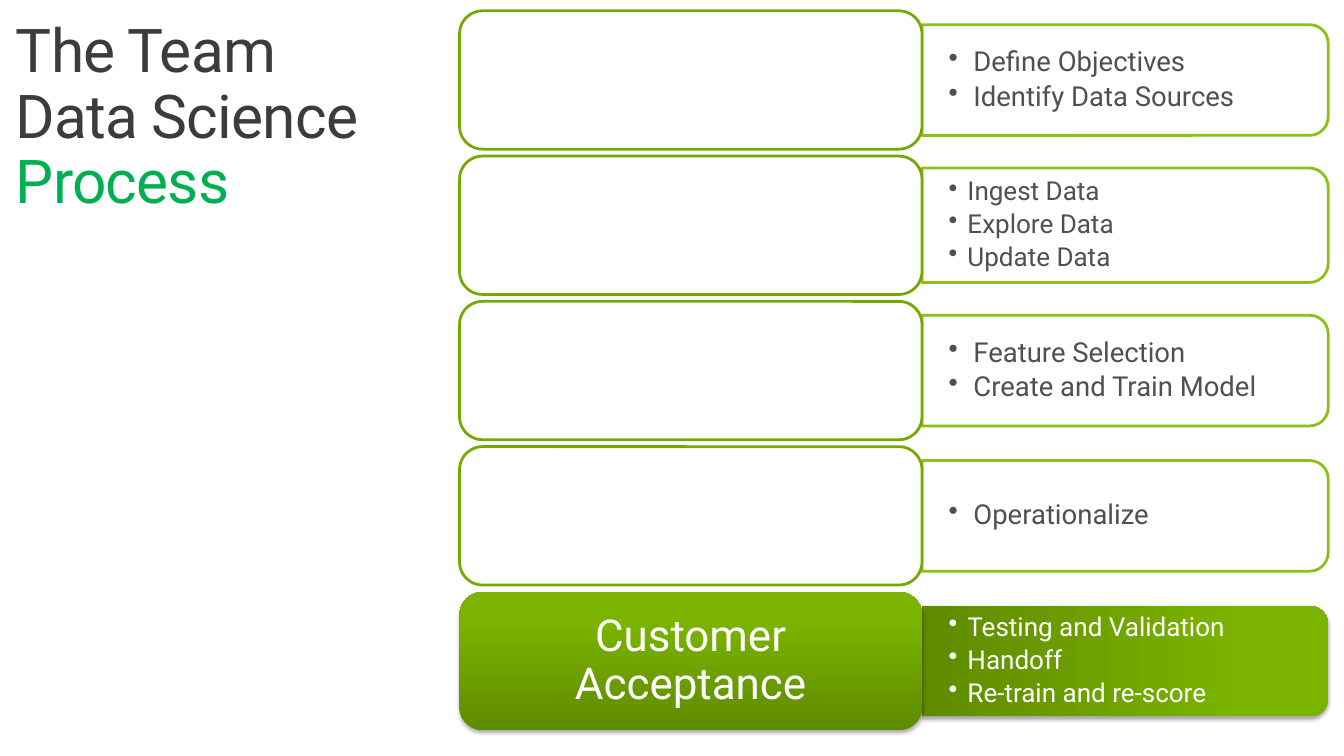
from dataclasses import dataclass

from lxml.etree import SubElement
from pptx import Presentation
from pptx.dml.color import RGBColor
from pptx.enum.shapes import MSO_SHAPE
from pptx.enum.text import MSO_ANCHOR, PP_ALIGN
from pptx.oxml import parse_xml
from pptx.oxml.ns import nsdecls, qn
from pptx.util import Inches, Pt

# Content
TITLE = [("The Team Data Science ", "3C3C3C"), ("Process", "00B050")]
STAGES = [
    {"label": "", "steps": ["Define Objectives", "Identify Data Sources"]},
    {"label": "", "steps": ["Ingest Data", "Explore Data", "Update Data"]},
    {"label": "", "steps": ["Feature Selection", "Create and Train Model"]},
    {"label": "", "steps": ["Operationalize"]},
    {"label": "Customer Acceptance",
     "steps": ["Testing and Validation", "Handoff", "Re-train and re-score"]},
]


@dataclass(frozen=True)
class Theme:
    font: str = "Roboto"
    title_size: int = 44
    label_size: int = 32
    step_size: int = 20
    dense_step_size: int = 19
    white: str = "FFFFFF"
    body: str = "505050"
    label_line: str = "73A900"
    panel_line: str = "7FBA00"
    gradient: tuple = ((0, "5F8B00"), (80, "7BB400"), (100, "7CB500"))
    line_width: int = 2
    line_spacing: float = 0.9


THEME = Theme()

# Grid, in inches
SLIDE_WIDTH, SLIDE_HEIGHT = 13.6, 7.65
GRID_TOP, ROW_HEIGHT, ROW_PITCH = 0.11, 1.4, 1.47
LABEL_LEFT, LABEL_WIDTH = 4.65, 4.68
PANEL_LEFT, PANEL_WIDTH = LABEL_LEFT + LABEL_WIDTH, 4.11
PANEL_HEIGHT, DENSE_PANEL_HEIGHT = 1.12, 1.16
STEPS_WIDTH, STEPS_HEIGHT = 4.05, 1.01
LABEL_MARGIN = 0.07


def add_box(slide, preset, left, top, width, height, line_color, opacity=100):
    shape = slide.shapes.add_shape(
        preset, Inches(left), Inches(top), Inches(width), Inches(height))
    shape.shadow.inherit = False
    if line_color is None:
        shape.line.fill.background()
        add_gradient_and_shadow(shape)
        return shape
    shape.line.width = Pt(THEME.line_width)
    for fill, color in ((shape.fill, THEME.white), (shape.line.fill, line_color)):
        fill.solid()
        fill.fore_color.rgb = RGBColor.from_string(color)
    if opacity < 100:
        for color in shape._element.spPr.iter(qn("a:srgbClr")):
            SubElement(color, qn("a:alpha"), val=str(opacity * 1000))
    return shape


def add_gradient_and_shadow(shape):
    properties = shape._element.spPr
    stops = "".join(
        f'<a:gs pos="{position * 1000}"><a:srgbClr val="{color}"/></a:gs>'
        for position, color in THEME.gradient)
    gradient = parse_xml(
        f'<a:gradFill {nsdecls("a")} rotWithShape="1"><a:gsLst>{stops}</a:gsLst>'
        '<a:lin ang="16200000" scaled="0"/></a:gradFill>')
    properties.find(qn("a:prstGeom")).addnext(gradient)
    shadow = parse_xml(
        f'<a:outerShdw {nsdecls("a")} blurRad="{Pt(3.1)}" dist="{Pt(1.8)}" '
        'dir="5400000" rotWithShape="0"><a:srgbClr val="000000">'
        '<a:alpha val="35000"/></a:srgbClr></a:outerShdw>')
    properties.find(qn("a:effectLst")).append(shadow)


def add_text_frame(slide, left, top, width, height, margin_x, margin_y, anchor):
    text_box = slide.shapes.add_textbox(
        Inches(left), Inches(top), Inches(width), Inches(height))
    frame = text_box.text_frame
    frame.word_wrap = True
    frame.vertical_anchor = anchor
    frame.margin_left = frame.margin_right = Inches(margin_x)
    frame.margin_top = frame.margin_bottom = Inches(margin_y)
    return frame


def add_run(paragraph, text, size, color):
    paragraph.line_spacing = THEME.line_spacing
    run = paragraph.add_run()
    run.text = text
    run.font.name = THEME.font
    run.font.size = Pt(size)
    run.font.color.rgb = RGBColor.from_string(color)
    return run


def add_steps(slide, steps, middle, size, indent, color):
    frame = add_text_frame(
        slide, PANEL_LEFT, middle - STEPS_HEIGHT / 2, STEPS_WIDTH, STEPS_HEIGHT,
        0.27, 0.14, MSO_ANCHOR.MIDDLE)
    for index, step in enumerate(steps):
        paragraph = frame.add_paragraph() if index else frame.paragraphs[0]
        add_run(paragraph, step, size, color)
        paragraph.space_after = Pt(size * 0.18)
        properties = paragraph._p.get_or_add_pPr()
        properties.set("marL", str(Inches(indent)))
        properties.set("indent", str(-Inches(indent)))
        SubElement(properties, qn("a:buChar"), char="•")


def add_stage(slide, row, stage):
    top = GRID_TOP + row * ROW_PITCH
    middle = top + ROW_HEIGHT / 2
    highlighted = bool(stage["label"])
    dense = len(stage["steps"]) > 2

    # Panel, turned so its rounded end faces right
    thickness = DENSE_PANEL_HEIGHT if dense and not highlighted else PANEL_HEIGHT
    panel = add_box(
        slide, MSO_SHAPE.ROUND_2_SAME_RECTANGLE,
        PANEL_LEFT + (PANEL_WIDTH - thickness) / 2, middle - PANEL_WIDTH / 2,
        thickness, PANEL_WIDTH, None if highlighted else THEME.panel_line, 90)
    panel.rotation = 90
    add_steps(slide, stage["steps"], middle,
              THEME.dense_step_size if dense else THEME.step_size,
              0.19 if dense else 0.25,
              THEME.white if highlighted else THEME.body)

    # Label
    add_box(slide, MSO_SHAPE.ROUNDED_RECTANGLE, LABEL_LEFT, top, LABEL_WIDTH,
            ROW_HEIGHT, None if highlighted else THEME.label_line)
    if highlighted:
        frame = add_text_frame(
            slide, LABEL_LEFT + LABEL_MARGIN, top + LABEL_MARGIN,
            LABEL_WIDTH - 2 * LABEL_MARGIN, ROW_HEIGHT - 2 * LABEL_MARGIN,
            0.13, 0.07, MSO_ANCHOR.MIDDLE)
        frame.paragraphs[0].alignment = PP_ALIGN.CENTER
        add_run(frame.paragraphs[0], stage["label"], THEME.label_size, THEME.white)


def main():
    presentation = Presentation()
    presentation.slide_width = Inches(SLIDE_WIDTH)
    presentation.slide_height = Inches(SLIDE_HEIGHT)
    slide = presentation.slides.add_slide(presentation.slide_layouts[6])

    # Title
    frame = add_text_frame(slide, 0, GRID_TOP, 3.86, 2.26, 0.16, 0.1, MSO_ANCHOR.TOP)
    for text, color in TITLE:
        run = add_run(frame.paragraphs[0], text, THEME.title_size, color)
        run.font._element.set("spc", "-60")

    # Stages
    for row, stage in enumerate(STAGES):
        add_stage(slide, row, stage)

    presentation.save("out.pptx")


if __name__ == "__main__":
    main()
